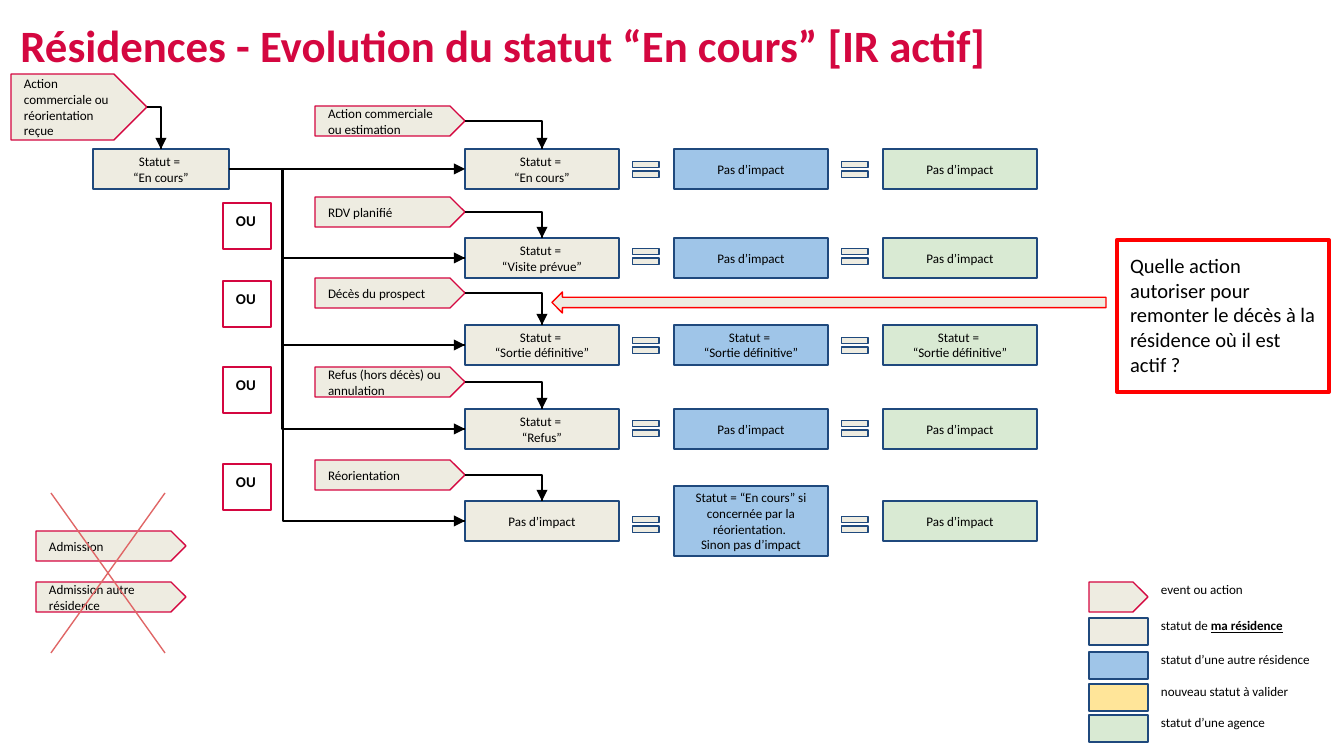
from dataclasses import dataclass
from typing import Any

from lxml import etree
from pptx import Presentation
from pptx.dml.color import RGBColor
from pptx.enum.shapes import MSO_CONNECTOR, MSO_SHAPE
from pptx.enum.text import MSO_ANCHOR, MSO_AUTO_SIZE, PP_ALIGN
from pptx.oxml.ns import qn
from pptx.util import Pt

RECT, PLATE = MSO_SHAPE.RECTANGLE, MSO_SHAPE.PENTAGON
EQUAL, ARROW = MSO_SHAPE.MATH_EQUAL, MSO_SHAPE.LEFT_ARROW
STRAIGHT, ELBOW = MSO_CONNECTOR.STRAIGHT, MSO_CONNECTOR.ELBOW
MIDDLE, TOP = MSO_ANCHOR.MIDDLE, MSO_ANCHOR.TOP
LEFT, CENTER = PP_ALIGN.LEFT, PP_ALIGN.CENTER
FIXED, GROW = MSO_AUTO_SIZE.NONE, MSO_AUTO_SIZE.SHAPE_TO_FIT_TEXT
SCALE = 9144000 / 1344


@dataclass(frozen=True)
class Theme:
    font: str = "Calibri"
    black: str = "000000"
    pink: str = "D40740"
    navy: str = "1F497D"
    red: str = "FF0000"
    coral: str = "E06666"
    beige: str = "EEECE1"
    blue: str = "9FC5E8"
    gold: str = "FFE599"
    green: str = "D9EAD3"
    small: int = 7
    medium: int = 8
    large: int = 11
    title: int = 24
    thin: float = 0.75
    thick: float = 2.25


@dataclass(frozen=True)
class Row:
    event: str
    plate: int
    top: int
    equal: int
    texts: tuple[str, str, str]
    tall: int = 40


@dataclass(frozen=True)
class Key:
    top: int
    fill: str
    text: str
    strong: str = ""
    kind: Any = RECT
    high: int = 27


THEME = Theme()
NONE = "Pas d’impact"
EXIT = "Statut = \n“Sortie définitive”"
OPEN = "Statut = \n“En cours”"
CHANGE = "Statut = “En cours” si concernée par la réorientation. \nSinon pas d’impact"
ROWS = (
    Row("Action commerciale ou estimation", 106, 149, 156, (OPEN, NONE, NONE)),
    Row("RDV planifié", 197, 238, 243, ("Statut = \n“Visite prévue”", NONE, NONE)),
    Row("Décès du prospect", 278, 325, 332, (EXIT, EXIT, EXIT)),
    Row("Refus (hors décès) ou annulation", 367, 409, 415, ("Statut = \n“Refus”", NONE, NONE)),
    Row("Réorientation", 460, 501, 511, (NONE, CHANGE, NONE), 70),
)
KEYS = (
    Key(582, THEME.beige, "event ou action", kind=PLATE, high=30),
    Key(618, THEME.beige, "statut de ", "ma résidence"),
    Key(652, THEME.blue, "statut d’une autre résidence"),
    Key(684, THEME.gold, "nouveau statut à valider"),
    Key(715, THEME.green, "statut d’une agence"),
)
FILLS = (THEME.beige, THEME.blue, THEME.green)
STEP = 209


def px(*marks: float) -> list[int]:
    return [round(mark * SCALE) for mark in marks]


def put(item: Any, values: dict[str, Any]) -> None:
    for name, value in values.items():
        setattr(item, name, value)


def ink(run: Any, size: int, color: str = THEME.black, **more: Any) -> None:
    put(run.font, {"name": THEME.font, "size": Pt(size), **more})
    run.font.color.rgb = RGBColor.from_string(color)


def write(shape: Any, text: str, size: int = THEME.small, align: Any = LEFT,
          anchor: Any = MIDDLE, fit: Any = FIXED, bold: bool = False) -> None:
    frame, pad = shape.text_frame, px(13)[0]
    sides = ("left", "right", "top", "bottom")
    put(frame, {"word_wrap": True, "auto_size": fit, "vertical_anchor": anchor,
                **{f"margin_{side}": pad for side in sides}})
    for i, line in enumerate(text.split("\n")):
        para = frame.add_paragraph() if i else frame.paragraphs[0]
        para.alignment = align
        run = para.add_run()
        run.text = line
        ink(run, size, bold=bold)


def draw(pane: Any, kind: Any, place: tuple[int, ...], fill: str = "",
         edge: str = THEME.navy, width: float = THEME.thin) -> Any:
    shape = pane.add_shape(kind, *px(*place))
    shape.shadow.inherit = False
    if fill:
        shape.fill.solid()
        shape.fill.fore_color.rgb = RGBColor.from_string(fill)
    else:
        shape.fill.background()
    shape.line.width = Pt(width)
    shape.line.color.rgb = RGBColor.from_string(edge)
    return shape


def link(pane: Any, ends: tuple[int, ...], start: Any = None, stop: Any = None,
         side: int = 1, kind: Any = STRAIGHT, color: str = THEME.black,
         head: bool = False) -> Any:
    line = pane.add_connector(kind, *px(*ends))
    if start is not None:
        line.begin_connect(start, 3)
    if stop is not None:
        line.end_connect(stop, side)
    line.line.width = Pt(THEME.thin)
    line.line.color.rgb = RGBColor.from_string(color)
    frame = line.element.spPr
    if head:
        etree.SubElement(frame.find(qn("a:ln")), qn("a:tailEnd"), type="triangle")
    etree.SubElement(frame, qn("a:effectLst"))
    return line.element.spPr.find(qn("a:prstGeom"))


def event(pane: Any, place: tuple[int, ...], text: str) -> Any:
    shape = draw(pane, PLATE, place, THEME.beige, THEME.pink)
    write(shape, text)
    return shape


def box(pane: Any, place: tuple[int, ...], text: str, fill: str) -> Any:
    shape = draw(pane, RECT, place, fill)
    write(shape, text, align=CENTER)
    return shape


def drop(pane: Any, plate: Any, goal: Any, ends: tuple[int, ...]) -> None:
    bend = link(pane, ends, plate, goal, 0, ELBOW)
    bend.set("prst", "bentConnector2")
    _, top, right, low = ends
    link(pane, (right, top, right, low), stop=goal, side=0, head=True)


def flow(pane: Any, entry: Any, i: int, row: Row) -> None:
    mid = row.top + 20
    plate = event(pane, (315, row.plate, 150, 30), row.event)
    cells = []
    for j, (text, fill) in enumerate(zip(row.texts, FILLS)):
        high = row.tall if j == 1 else 40
        cells.append(box(pane, (465 + j * STEP, mid - high // 2, 154, high), text, fill))
    for j in range(2):
        sign = draw(pane, EQUAL, (628 + j * STEP, row.equal, 36, 27), THEME.beige)
        sign.adjustments[0] = 0.235
        sign.adjustments[1] = 0.118
    drop(pane, plate, cells[0], (465, row.plate + 15, 542, row.top))
    if i == 0:
        link(pane, (229, mid, 465, mid), entry, cells[0], head=True)
        return
    spine = 283 - i % 2
    bend = link(pane, (229, 169, 465, mid), entry, cells[0], kind=ELBOW)
    ratio = round((spine - 229) / (465 - 229) * 100000)
    etree.SubElement(bend.find(qn("a:avLst")), qn("a:gd"), name="adj1", fmla=f"val {ratio}")
    link(pane, (285, mid, 465, mid), stop=cells[0], head=True)


def legend(pane: Any) -> None:
    group = pane.add_group_shape().shapes
    for key in KEYS:
        edge = THEME.pink if key.kind == PLATE else THEME.navy
        draw(group, key.kind, (1089, key.top, 59, key.high), key.fill, edge)
        label = group.add_textbox(*px(1148, key.top - 8, 196, 43))
        write(label, key.text, anchor=TOP, fit=GROW)
        if key.strong:
            run = label.text_frame.paragraphs[0].add_run()
            run.text = key.strong
            ink(run, THEME.small, bold=True, underline=True)


def head(title: Any) -> None:
    left, top, width, height = px(7, 1, 1230, 94)
    put(title, {"left": left, "top": top, "width": width, "height": height})
    put(title.text_frame, {"word_wrap": True, "auto_size": FIXED, "vertical_anchor": MIDDLE})
    para = title.text_frame.paragraphs[0]
    put(para, {"alignment": LEFT, "line_spacing": 0.9})
    run = para.add_run()
    run.text = "Résidences - Evolution du statut “En cours” [IR actif]"
    ink(run, THEME.title, THEME.pink, bold=True)


def main() -> None:
    deck = Presentation()
    width, height = px(1344, 756)
    put(deck, {"slide_width": width, "slide_height": height})
    slide = deck.slides.add_slide(deck.slide_layouts[5])
    pane = slide.shapes
    head(pane.title)
    entry = box(pane, (93, 149, 136, 40), OPEN, THEME.beige)
    first = event(pane, (11, 74, 136, 66), "Action commerciale ou réorientation reçue")
    drop(pane, first, entry, (147, 107, 161, 149))
    for i, row in enumerate(ROWS):
        flow(pane, entry, i, row)
    for top in (203, 281, 367, 464):
        choice = draw(pane, RECT, (223, top, 48, 46), edge=THEME.pink)
        write(choice, "OU", THEME.medium, anchor=TOP, fit=GROW, bold=True)
    event(pane, (36, 531, 150, 30), "Admission")
    event(pane, (36, 582, 150, 30), "Admission autre résidence")
    for top, low in ((493, 653), (653, 493)):
        link(pane, (165, top, 51, low), color=THEME.coral)
    draw(pane, ARROW, (552, 292, 554, 21), THEME.beige, THEME.red)
    query = draw(pane, RECT, (1117, 240, 212, 152), edge=THEME.red, width=THEME.thick)
    write(query, "Quelle action autoriser pour remonter le décès à la résidence où il est actif ?",
          THEME.large, anchor=TOP, fit=GROW)
    legend(pane)
    deck.save("out.pptx")


if __name__ == "__main__":
    main()
